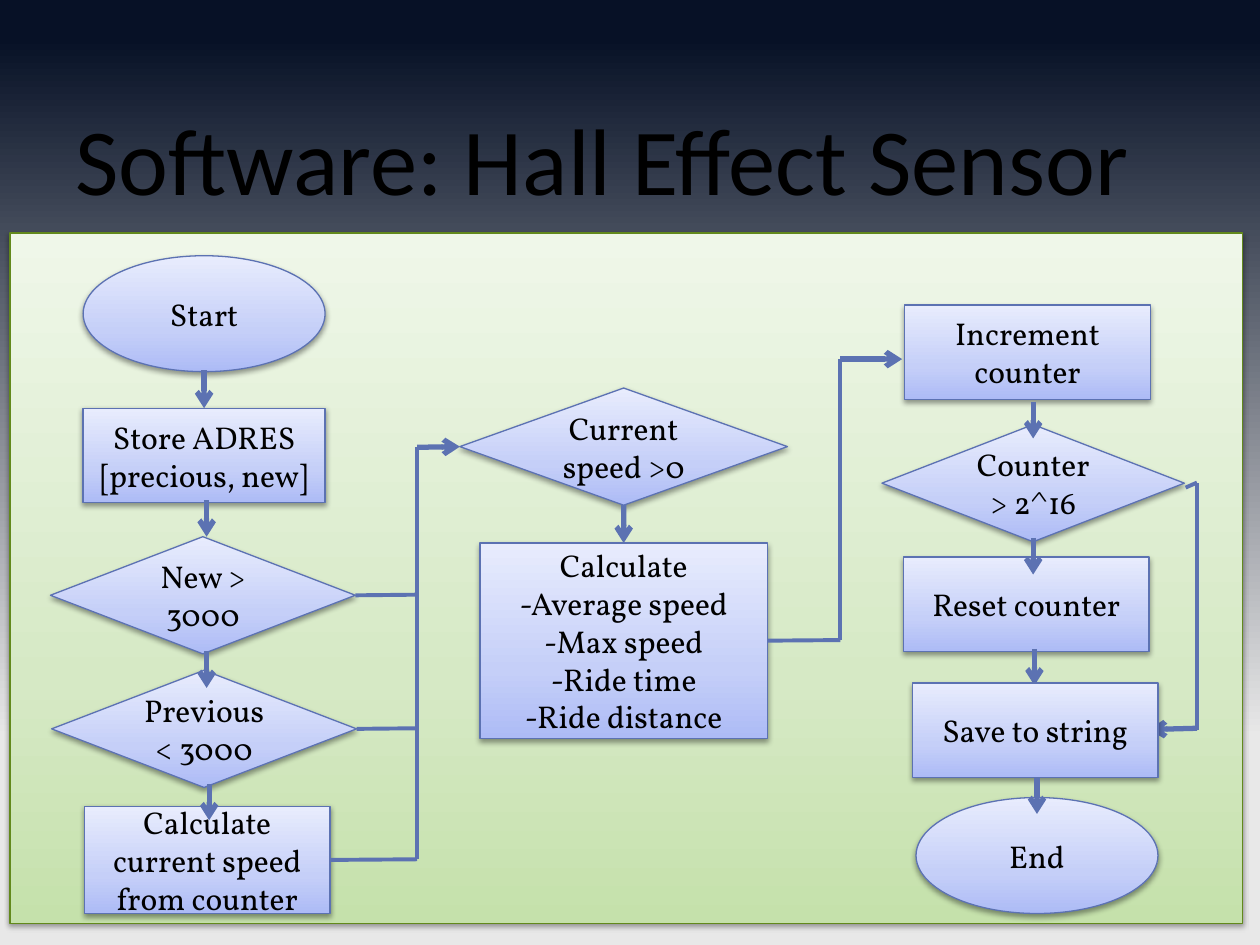
"""Build the flowchart slide for the Hall effect sensor software."""
from copy import deepcopy

from lxml.etree import SubElement
from pptx import Presentation
from pptx.dml.color import RGBColor
from pptx.enum.shapes import MSO_CONNECTOR, MSO_SHAPE
from pptx.enum.text import MSO_ANCHOR, PP_ALIGN
from pptx.oxml.ns import qn
from pptx.util import Inches, Pt

RECT = MSO_SHAPE.RECTANGLE
OVAL = MSO_SHAPE.OVAL
RHOMB = MSO_SHAPE.DIAMOND
LINE = MSO_CONNECTOR.STRAIGHT
LEFT, CENTER = PP_ALIGN.LEFT, PP_ALIGN.CENTER
BOTTOM = MSO_ANCHOR.BOTTOM

COLORS = {
    "text": "000000", "edge": "5C72B2", "rim": "62891C",
    "night": "071126", "mist": "E8E8E8",
    "blue1": "ADBBF6", "blue2": "C5CFF8", "blue3": "E8ECFD",
    "green1": "C5E1AB", "green2": "D6E9C5", "green3": "EFF7E9",
}
RGB = {name: RGBColor.from_string(code) for name, code in COLORS.items()}

prs = Presentation()
prs.slide_width, prs.slide_height = Inches(10), Inches(7.5)
slide = prs.slides.add_slide(prs.slide_layouts[5])

back = slide.background.fill
back.gradient()
back.gradient_angle = 270
for stop, place, name in zip(back.gradient_stops, (0.04, 0.78), ("night", "mist")):
    stop.position, stop.color.rgb = place, RGB[name]

title = slide.shapes.title
title.left, title.top = Inches(0.5), Inches(0)
title.width, title.height = Inches(9.83), Inches(1.75)
title.text_frame.text = "Software: Hall Effect Sensor"
title.text_frame.vertical_anchor = BOTTOM
para = title.text_frame.paragraphs[0]
para.alignment, para.line_spacing = LEFT, Pt(58)
para.font.name, para.font.size = "Calibri", Pt(54)
para.font.color.rgb = RGB["text"]

chart = slide.shapes.add_group_shape().shapes


def box(kind, place, text="", hue="blue", edge="edge"):
    """Add a shaded shape with centred text."""
    shape = chart.add_shape(kind, *map(Inches, place))
    shape.fill.gradient()
    shape.fill.gradient_angle = 90
    props = shape._element.spPr
    stops = next(props.iter(qn("a:gsLst")))
    stops.append(deepcopy(stops[-1]))
    for n, (stop, spot) in enumerate(zip(shape.fill.gradient_stops, (0, 0.35, 1)), 1):
        stop.position, stop.color.rgb = spot, RGB[f"{hue}{n}"]
    shape.line.color.rgb, shape.line.width = RGB[edge], Pt(0.75)
    shape.shadow.inherit = False
    shade = SubElement(props.find(qn("a:effectLst")), qn("a:outerShdw"), blurRad="40000",
                       dist="20000", dir="5400000", rotWithShape="0")
    color = SubElement(shade, qn("a:srgbClr"), val=COLORS["text"])
    SubElement(color, qn("a:alpha"), val="38000")
    if text:
        shape.text_frame.text = text
        for para in shape.text_frame.paragraphs:
            para.alignment = CENTER
            para.font.name, para.font.size = "Vollkorn", Pt(18)
            para.font.color.rgb = RGB["text"]
    return shape


def link(ends, arrow=False, begin=None, end=None):
    """Add a line, joined to a (shape, site) pair where one is given."""
    line = chart.add_connector(LINE, *map(Inches, ends))
    line.line.color.rgb = RGB["edge"]
    line.line.width = Pt(3 if arrow else 2.25)
    if arrow:
        SubElement(line.line._get_or_add_ln(), qn("a:tailEnd"), type="arrow")
    SubElement(line._element.spPr, qn("a:effectLst"))
    if begin:
        line.begin_connect(*begin)
    if end:
        line.end_connect(*end)


box(RECT, (0.08, 1.85, 9.78, 5.48), hue="green", edge="rim")
box(OVAL, (0.66, 2.03, 1.92, 0.92), "Start")
store = box(RECT, (0.66, 3.24, 1.92, 0.75), "Store ADRES [precious, new]")
new = box(RHOMB, (0.4, 4.26, 2.42, 0.93), "New > 3000")
prior = box(RHOMB, (0.41, 5.32, 2.42, 0.93), "Previous < 3000")
speed = box(RECT, (0.67, 6.4, 1.95, 0.85), "Calculate current speed from counter")
test = box(RHOMB, (3.65, 3.08, 2.6, 0.93), "Current speed >0")
stats = box(RECT, (3.81, 4.31, 2.28, 1.55),
            "Calculate\n-Average speed\n-Max speed\n-Ride time\n-Ride distance")
box(RECT, (7.18, 2.42, 1.95, 0.75), "Increment counter")
box(RHOMB, (7, 3.37, 2.4, 0.93), "Counter > 2^16")
box(RECT, (7.17, 4.42, 1.95, 0.75), "Reset counter")
box(OVAL, (7.27, 6.33, 1.92, 0.92), "End")

link((1.62, 2.94, 1.62, 3.24), True, end=(store, 0))
for x, y in ((1.64, 3.97), (1.64, 5.17), (1.66, 6.22),
             (8.2, 3.19), (8.2, 4.27), (8.21, 5.15)):
    link((x, y, x, y + 0.29), True)

for source, x, y in ((new, 2.82, 4.72), (prior, 2.83, 5.78), (speed, 2.62, 6.82)):
    link((x, y, 3.31, y), begin=(source, 3))
link((3.31, 6.82, 3.31, 3.55))
link((3.31, 3.55, 3.65, 3.55), True, end=(test, 1))
link((4.95, 4.01, 4.95, 4.31), True, (test, 2), (stats, 0))

link((6.09, 5.08, 6.67, 5.08), begin=(stats, 3))
link((6.67, 5.08, 6.67, 2.85))
link((6.67, 2.85, 7.16, 2.85), True)

link((9.41, 3.87, 9.5, 3.83))
link((9.5, 5.79, 9.5, 3.83))
link((9.5, 5.78, 9.12, 5.79), True)
box(RECT, (7.24, 5.42, 1.95, 0.75), "Save to string")
link((8.23, 6.17, 8.23, 6.46), True)

prs.save("out.pptx")
